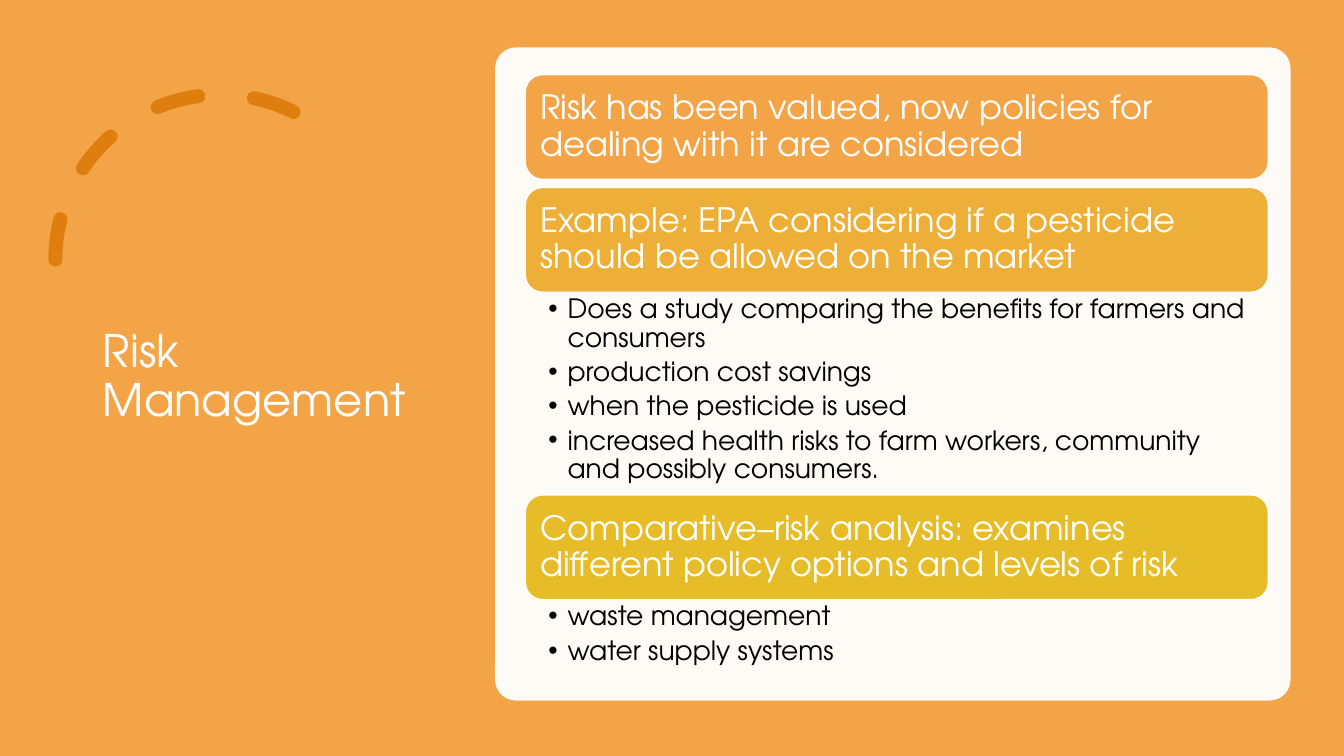
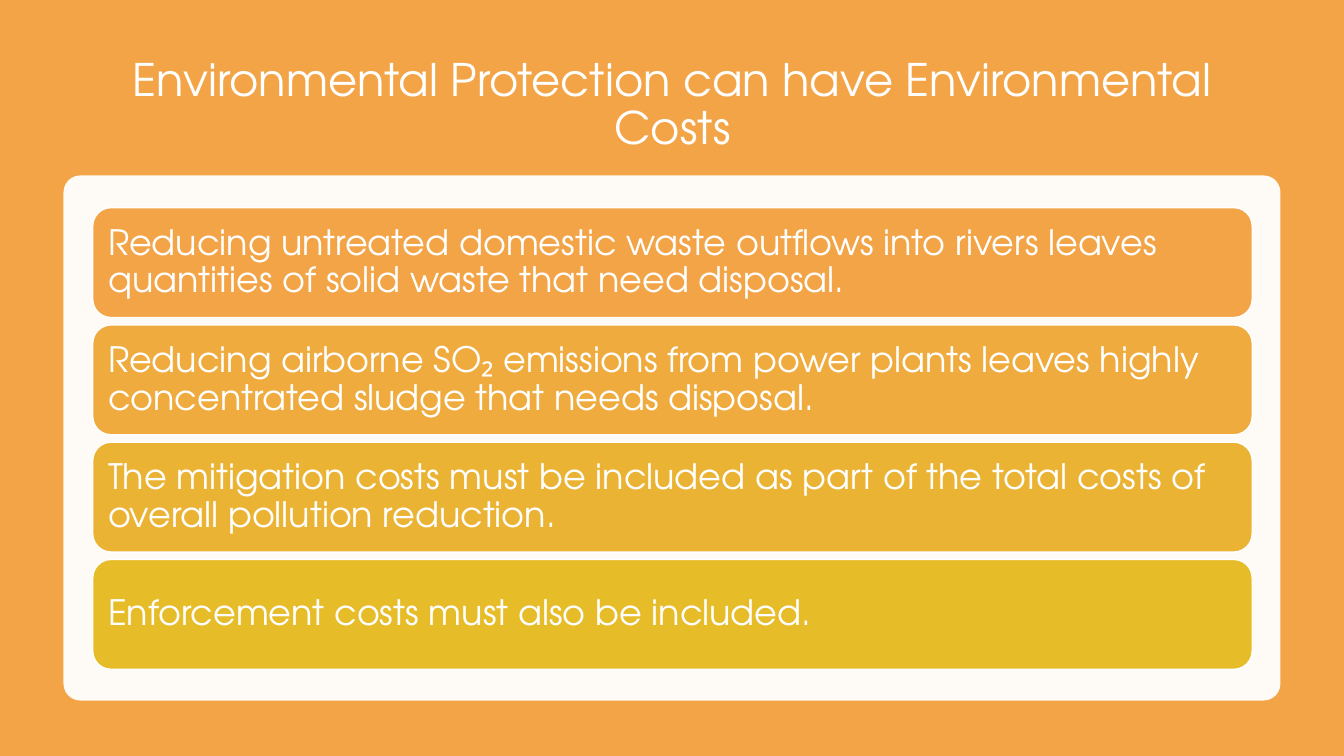
from lxml import etree
from pptx import Presentation
from pptx.dml.color import RGBColor
from pptx.enum import dml, shapes, text
from pptx.oxml import ns
from pptx.util import Inches, Pt

ORANGE = RGBColor(0xF3, 0xA4, 0x47)
AMBER = RGBColor(0xED, 0xAF, 0x38)
LIGHT_AMBER = RGBColor(0xEF, 0xAB, 0x3D)
GOLD = RGBColor(0xEB, 0xB3, 0x33)
YELLOW = RGBColor(0xE7, 0xBC, 0x29)
RUST = RGBColor(0xDD, 0x7E, 0x0E)
WHITE = RGBColor(0xFF, 0xFF, 0xFF)
BLACK = RGBColor(0x00, 0x00, 0x00)
FONT = "TeX Gyre Adventor"

TITLE_ONLY, TWO_CONTENT = 5, 3


def write_text(frame, lines, size, color=WHITE, align=text.PP_ALIGN.LEFT,
               anchor=text.MSO_ANCHOR.MIDDLE, insets=(0.1, 0.1, 0.1, 0.1),
               after=0, bullet=None):
    frame.word_wrap = True
    frame.auto_size = text.MSO_AUTO_SIZE.NONE
    frame.vertical_anchor = anchor
    (frame.margin_left, frame.margin_top,
     frame.margin_right, frame.margin_bottom) = map(Inches, insets)
    for index, line in enumerate(lines):
        para = frame.add_paragraph() if index else frame.paragraphs[0]
        if bullet:
            properties = para._p.get_or_add_pPr()
            properties.set("marL", str(Inches(0.19)))
            properties.set("indent", str(-Inches(0.19)))
            etree.SubElement(properties, ns.qn("a:buChar")).set("char", bullet)
            para.level = 1
        para.alignment = align
        para.line_spacing = 0.9
        para.space_before = Pt(0)
        para.space_after = Pt(after)
        span = para.add_run()
        span.text = line
        span.font.name = FONT
        span.font.size = Pt(size)
        span.font.color.rgb = color


class Deck:
    def __init__(self):
        self.file = Presentation()
        self.file.slide_width = Inches(13.33)
        self.file.slide_height = Inches(7.5)
        self.page = None

    def add_page(self, layout):
        self.page = self.file.slides.add_slide(self.file.slide_layouts[layout])
        fill = self.page.background.fill
        fill.solid()
        fill.fore_color.rgb = ORANGE

    def place(self, box, left, top, width, height):
        box.left, box.top = Inches(left), Inches(top)
        box.width, box.height = Inches(width), Inches(height)

    def add_shape(self, kind, left, top, width, height):
        box = self.page.shapes.add_shape(kind, *map(Inches, (left, top, width, height)))
        box.shadow.inherit = False
        return box

    def title(self, words, *area, align=text.PP_ALIGN.LEFT):
        box = self.page.shapes.title
        self.place(box, *area)
        write_text(box.text_frame, [words], 32, align=align,
                   insets=(0.1, 0.05, 0.1, 0.05))

    def panel(self, *area):
        box = self.add_shape(shapes.MSO_SHAPE.ROUNDED_RECTANGLE, *area)
        box.adjustments[0] = 0.032
        box.line.fill.background()
        box.fill.solid()
        box.fill.fore_color.rgb = WHITE
        color = box._element.spPr.find(".//" + ns.qn("a:srgbClr"))
        etree.SubElement(color, ns.qn("a:alpha")).set("val", "95000")

    def bar(self, words, color, size, *area):
        box = self.add_shape(shapes.MSO_SHAPE.ROUNDED_RECTANGLE, *area)
        box.fill.solid()
        box.fill.fore_color.rgb = color
        box.line.color.rgb = WHITE
        box.line.width = Pt(1)
        write_text(box.text_frame, [words], size)

    def bullets(self, slot, lines, *area):
        box = self.page.placeholders[slot]
        self.place(box, *area)
        self.page.shapes._spTree.append(box._element)
        write_text(box.text_frame, lines, 19, color=BLACK, after=4, bullet="•",
                   anchor=text.MSO_ANCHOR.TOP, insets=(0.23, 0.03, 0.19, 0.03))

    def dashed_arc(self, *area):
        arc = self.add_shape(shapes.MSO_SHAPE.ARC, *area)
        arc.adjustments[0] = 146.13
        arc.adjustments[1] = 0
        arc._element.spPr.find(ns.qn("a:xfrm")).set("flipH", "1")
        arc.fill.background()
        arc.line.color.rgb = RUST
        arc.line.width = Pt(10)
        arc.line.dash_style = dml.MSO_LINE.DASH
        arc._element.spPr.find(ns.qn("a:ln")).set("cap", "rnd")


def build_risk_page(deck):
    deck.add_page(TWO_CONTENT)
    deck.dashed_arc(0.55, 0.94, 3.27, 3.27)
    deck.title("Risk Management", 0.92, 0.7, 3.23, 6.09)
    deck.panel(4.91, 0.47, 7.89, 6.48)
    sections = [
        ("Risk has been valued, now policies for dealing with it are considered",
         ORANGE, [], 0.08),
        ("Example: EPA considering if a pesticide should be allowed on the market",
         AMBER,
         ["Does a study comparing the benefits for farmers and consumers",
          "production cost savings",
          "when the pesticide is used",
          "increased health risks to farm workers, community and possibly consumers."],
         2.01),
        ("Comparative–risk analysis: examines different policy options and levels of risk",
         YELLOW, ["waste management", "water supply systems"], 0.72),
    ]
    left, top, width, bar_height = 5.21, 0.74, 7.37, 1.04
    for slot, (heading, color, details, space) in enumerate(sections):
        deck.bar(heading, color, 24, left, top, width, bar_height)
        top += bar_height
        if details:
            deck.bullets(slot, details, left, top, width, space)
        top += space


def build_costs_page(deck):
    deck.add_page(TITLE_ONLY)
    deck.title("Environmental Protection can have Environmental Costs",
               0.92, 0.5, 11.5, 1.1, align=text.PP_ALIGN.CENTER)
    deck.panel(0.63, 1.74, 12.07, 5.21)
    costs = [
        ("Reducing untreated domestic waste outflows into rivers leaves quantities "
         "of solid waste that need disposal.", ORANGE),
        ("Reducing airborne SO₂ emissions from power plants leaves highly "
         "concentrated sludge that needs disposal.", LIGHT_AMBER),
        ("The mitigation costs must be included as part of the total costs of "
         "overall pollution reduction.", GOLD),
        ("Enforcement costs must also be included.", YELLOW),
    ]
    top, bottom, bar_height = 2.06, 6.64, 1.09
    pitch = (bottom - top - bar_height) / (len(costs) - 1)
    for row, (words, color) in enumerate(costs):
        deck.bar(words, color, 25, 0.92, top + row * pitch, 11.5, bar_height)


def main():
    deck = Deck()
    build_risk_page(deck)
    build_costs_page(deck)
    deck.file.save("out.pptx")


if __name__ == "__main__":
    main()
